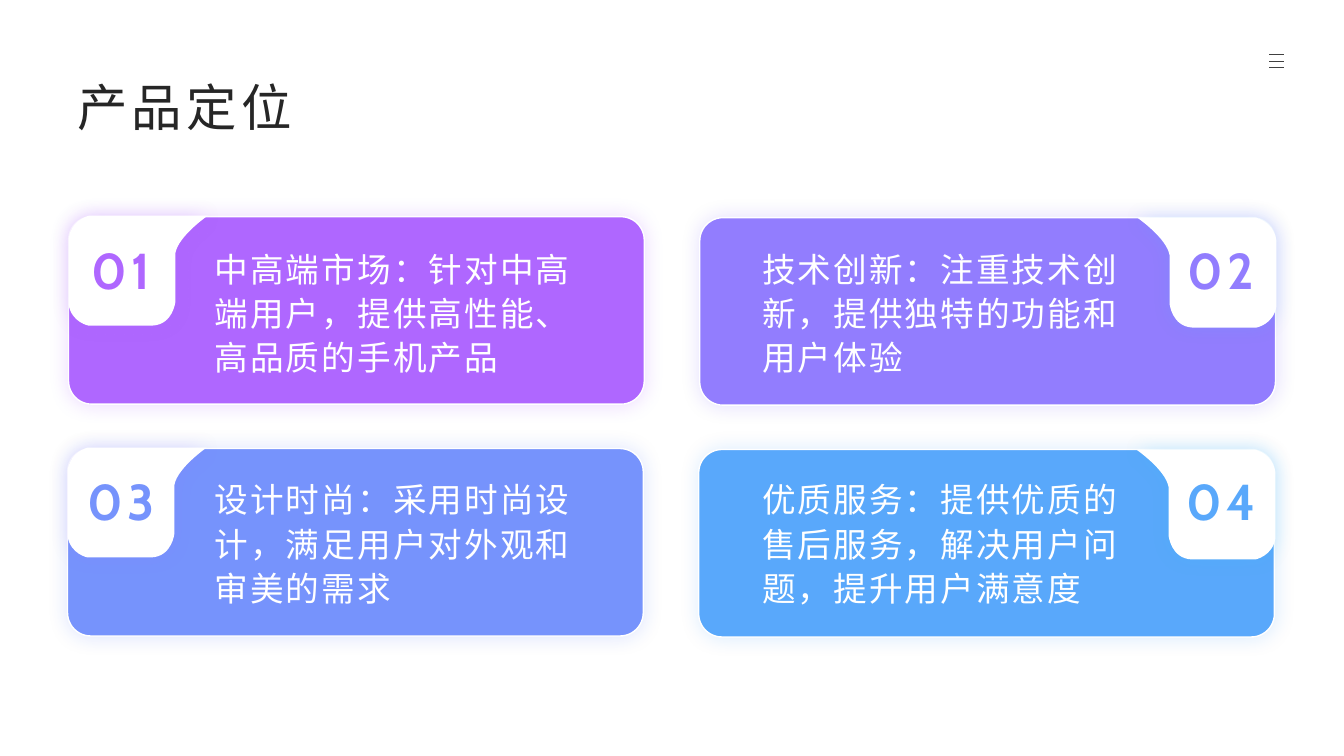
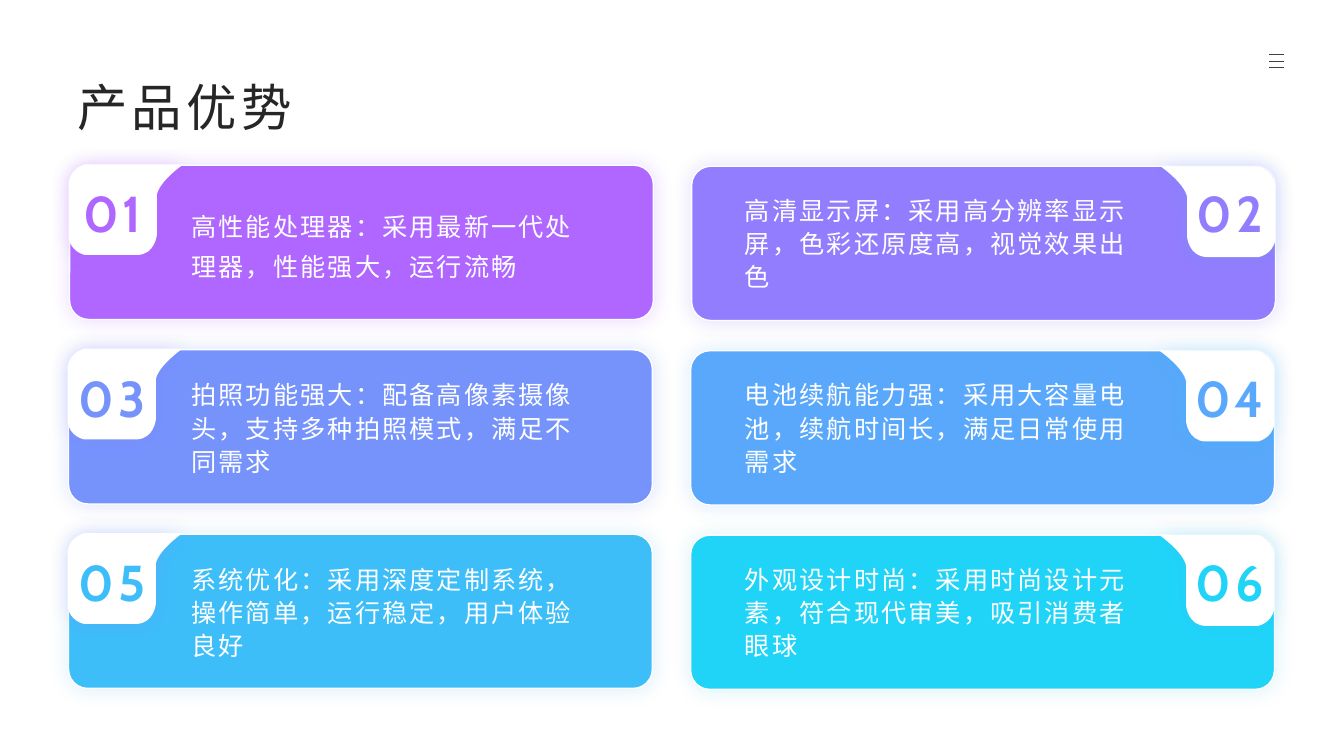
from lxml import etree
from pptx import Presentation
from pptx.dml.color import RGBColor
from pptx.enum.shapes import MSO_CONNECTOR, MSO_SHAPE
from pptx.enum.text import MSO_ANCHOR, PP_ALIGN
from pptx.oxml.ns import qn
from pptx.util import Emu, Pt

ROUNDED = MSO_SHAPE.ROUNDED_RECTANGLE
STRAIGHT = MSO_CONNECTOR.STRAIGHT
TOP, MIDDLE = MSO_ANCHOR.TOP, MSO_ANCHOR.MIDDLE
LEFT, CENTER = PP_ALIGN.LEFT, PP_ALIGN.CENTER

PX = 9144  # 100 px to the inch

THEME = {
    "font": "Cabin",
    "ink": "262626",
    "menu": "404040",
    "white": "FFFFFF",
    # card fill, glow around the card
    "cards": [("AF67FF", "800DFF"), ("927DFE", "431FFD"), ("7693FC", "1B4CFA"),
              ("59A8FB", "067CF9"), ("3DBEF9", "079DE2"), ("20D4F8", "06ABCC")],
    # badge glow in the left and right column: first row, later rows
    "badges": [("AF67FF", "59A8FB"), ("927DFE", "3DBEF9")],
    "card_glow": {"opacity": 14, "blur": 15},
    "badge_glow": {"opacity": 22, "blur": 13},
    "title": {"size": 36, "spacing": 300},
    "number": {"size": 36, "spacing": 300, "bold": True},
}

# Text and line spacing of each card; lengths in px
SLIDES = [
    {"title": "产品定位",
     "cards": [("中高端市场：针对中高端用户，提供高性能、高品质的手机产品", 1.1),
               ("技术创新：注重技术创新，提供独特的功能和用户体验", 1.1),
               ("设计时尚：采用时尚设计，满足用户对外观和审美的需求", 1.1),
               ("优质服务：提供优质的售后服务，解决用户问题，提升用户满意度", 1.1)],
     "card_left": (68, 694), "card_size": (571, 186), "top": 215, "pitch": 230,
     "badge_left": (68, 1128), "badge_size": (138, 109),
     "text_top": 237, "text_pitch": 229,
     "body_left": (203, 746), "body_size": (392, 143),
     "number_left": (78, 1169), "number_size": (84, 68), "body_type": 24},
    {"title": "产品优势",
     "cards": [("高性能处理器：采用最新一代处理器，性能强大，运行流畅", 1.3),
               ("高清显示屏：采用高分辨率显示屏，色彩还原度高，视觉效果出色", 1.1),
               ("拍照功能强大：配备高像素摄像头，支持多种拍照模式，满足不同需求", 1.1),
               ("电池续航能力强：采用大容量电池，续航时间长，满足日常使用需求", 1.1),
               ("系统优化：采用深度定制系统，操作简单，运行稳定，用户体验良好", 1.1),
               ("外观设计时尚：采用时尚设计元素，符合现代审美，吸引消费者眼球", 1.1)],
     "card_left": (69, 686), "card_size": (579, 153), "top": 164, "pitch": 183,
     "badge_left": (68, 1151), "badge_size": (114, 90),
     "text_top": 181, "text_pitch": 183,
     "body_left": (180, 729), "body_size": (423, 118),
     "number_left": (77, 1185), "number_size": (69, 56), "body_type": 18},
]

MENU_LEFT, MENU_RIGHT, MENU_TOPS = 1259, 1274, (54, 61, 67)
TITLE_BOX = (67, 67, 1200, 77)

# Badge outline on a 138 x 109 grid: a straight edge to a corner, then the
# pull point and end point of the curve that follows
BADGE_GRID = (138, 109)
BADGE_START = (20, 0)
BADGE_EDGES = [((138, 0), (109, 20), (106, 37)),
               ((106, 85), (104, 108), (83, 109)),
               ((20, 109), (3, 106), (0, 88)),
               ((0, 24), (0, 6), (20, 0))]


def px(*lengths):
    return [Emu(round(length * PX)) for length in lengths]


def color(value):
    return RGBColor.from_string(value)


def add_glow(shape, tint, opacity, blur):
    shape.shadow.inherit = False
    effects = shape._element.spPr.find(qn("a:effectLst"))
    glow = etree.SubElement(effects, qn("a:outerShdw"), blurRad=str(Pt(blur)),
                            dist="0", dir="0", algn="ctr", rotWithShape="0")
    shade = etree.SubElement(glow, qn("a:srgbClr"), val=tint)
    etree.SubElement(shade, qn("a:alpha"), val=str(opacity * 1000))


def add_text(page, place, text, tint, size, spacing, bold=False, anchor=MIDDLE,
             align=LEFT, line_spacing=None, inset=True):
    frame = page.shapes.add_textbox(*px(*place)).text_frame
    frame.word_wrap = True
    frame.vertical_anchor = anchor
    if not inset:
        for side in ("left", "top", "right", "bottom"):
            setattr(frame, f"margin_{side}", 0)
    para = frame.paragraphs[0]
    para.alignment, para.line_spacing = align, line_spacing
    span = para.add_run()
    span.text = text
    span.font.color.rgb = color(tint)
    for name, value in {"name": THEME["font"], "size": Pt(size), "bold": bold}.items():
        setattr(span.font, name, value)
    properties = span.font._element
    properties.set("spc", str(spacing))
    etree.SubElement(properties, qn("a:ea"), typeface=THEME["font"])


def bend(segment, start, pull):
    """Turn a straight segment into a curve that leaves its start without a pull."""
    segment.tag = qn("a:cubicBezTo")
    for position, (x, y) in enumerate((start, pull)):
        point = etree.Element(qn("a:pt"), x=str(x), y=str(y))
        segment.insert(position, point)


def add_badge(page, left, top, size, mirrored, tint):
    def place(point):
        across = BADGE_GRID[0] - point[0] if mirrored else point[0]
        return px(across * size[0] / BADGE_GRID[0], point[1] * size[1] / BADGE_GRID[1])

    edges = [[place(point) for point in edge] for edge in BADGE_EDGES]
    builder = page.shapes.build_freeform(*place(BADGE_START))
    builder.add_line_segments([point for corner, pull, end in edges
                               for point in (corner, end)], close=True)
    badge = builder.convert_to_shape(*px(left, top))

    # Every second segment is a curve
    segments = list(badge._element.iter(qn("a:lnTo")))
    for segment, (corner, pull, end) in zip(segments[1::2], edges):
        bend(segment, corner, pull)

    badge.fill.solid()
    badge.fill.fore_color.rgb = color(THEME["white"])
    badge.line.fill.background()
    add_glow(badge, tint, **THEME["badge_glow"])


def add_card(page, place, fill, glow):
    card = page.shapes.add_shape(ROUNDED, *px(*place))
    card.adjustments[0] = 0.124
    card.fill.solid()
    card.fill.fore_color.rgb = color(fill)
    card.line.color.rgb = color(THEME["white"])
    card.line.width = Pt(1)
    add_glow(card, glow, **THEME["card_glow"])


def add_frame(page, title):
    # Menu icon and title
    for top in MENU_TOPS:
        bar = page.shapes.add_connector(STRAIGHT, *px(MENU_LEFT, top, MENU_RIGHT, top))
        bar.line.color.rgb = color(THEME["menu"])
        bar.line.width = Pt(1)
        etree.SubElement(bar._element.spPr, qn("a:effectLst"))
    add_text(page, TITLE_BOX, title, THEME["ink"], **THEME["title"])


def add_item(page, layout, index, text, line_spacing):
    row, column = divmod(index, 2)
    fill, glow = THEME["cards"][index]
    nudge = -1 if row else 0  # later rows sit one px to the left
    top = layout["top"] + row * layout["pitch"]
    text_top = layout["text_top"] + row * layout["text_pitch"]

    # Card and its badge
    add_card(page, (layout["card_left"][column] + nudge, top + column,
                    *layout["card_size"]), fill, glow)
    add_badge(page, layout["badge_left"][column] + nudge, top - 1 + 2 * column,
              layout["badge_size"], column == 1, THEME["badges"][min(row, 1)][column])

    # Body and number
    add_text(page, (layout["body_left"][column], text_top, *layout["body_size"]),
             text, THEME["white"], layout["body_type"], 150, line_spacing=line_spacing)
    add_text(page, (layout["number_left"][column], text_top, *layout["number_size"]),
             f"{index + 1:02d}", fill, anchor=TOP, align=CENTER, inset=False,
             **THEME["number"])


def main():
    deck = Presentation()
    deck.slide_width, deck.slide_height = px(1333, 750)
    for layout in SLIDES:
        page = deck.slides.add_slide(deck.slide_layouts[6])
        add_frame(page, layout["title"])
        for index, (text, line_spacing) in enumerate(layout["cards"]):
            add_item(page, layout, index, text, line_spacing)
    deck.save("out.pptx")


if __name__ == "__main__":
    main()
